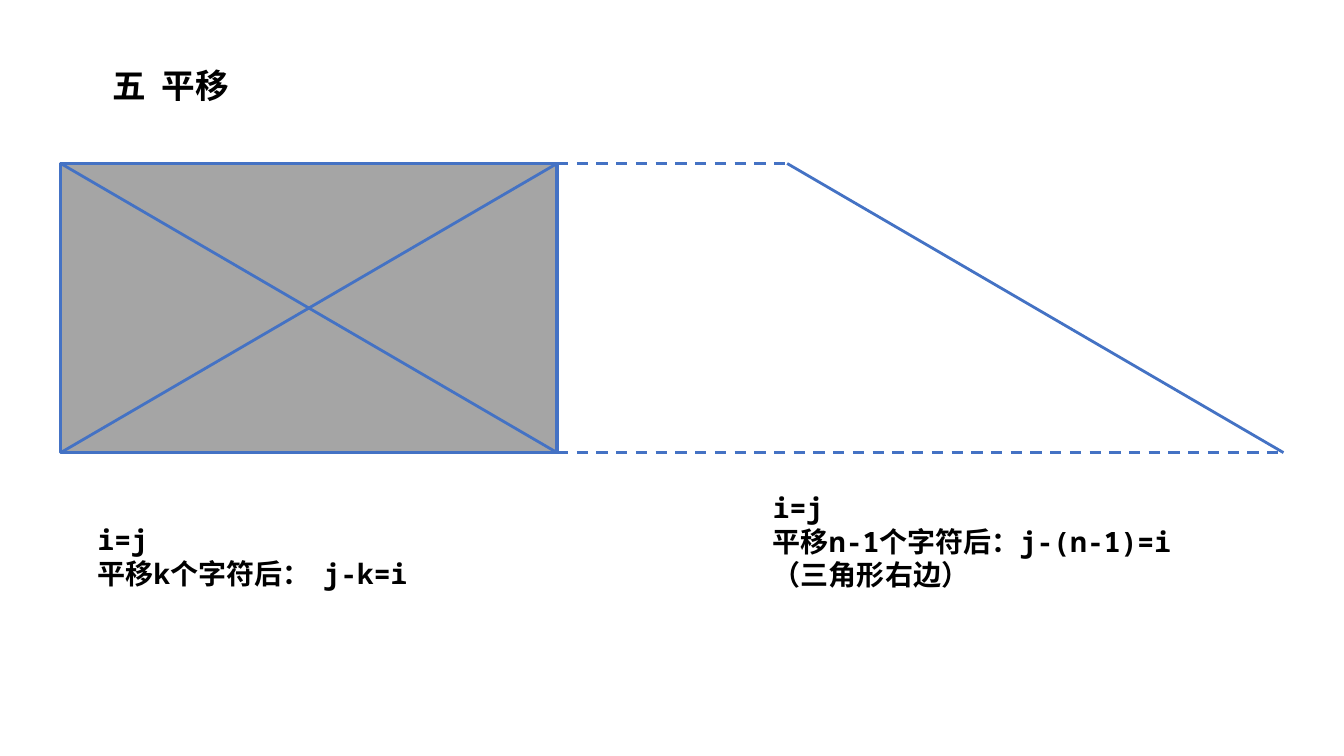
from dataclasses import dataclass

from lxml import etree
from pptx import Presentation
from pptx.dml.color import RGBColor
from pptx.enum.dml import MSO_LINE
from pptx.enum.shapes import MSO_CONNECTOR, MSO_SHAPE
from pptx.oxml.ns import qn
from pptx.util import Pt

RECTANGLE = MSO_SHAPE.RECTANGLE
STRAIGHT = MSO_CONNECTOR.STRAIGHT
DASH = MSO_LINE.DASH


@dataclass(frozen=True)
class Theme:
    ink: RGBColor = RGBColor(0x00, 0x00, 0x00)
    blue: RGBColor = RGBColor(0x44, 0x72, 0xC4)
    grey: RGBColor = RGBColor(0xA5, 0xA5, 0xA5)
    heading_font: str = "Noto Sans CJK SC"
    formula_font: str = "Noto Sans Mono"
    heading_size: float = 24
    formula_size: float = 20
    border: float = 2.25
    stroke: float = 2


THEME = Theme()


def set_font(span, font, size):
    """Use font for Latin letters and the heading font for Chinese ones."""
    span.font.name = font
    span.font.size = Pt(size)
    span.font.bold = True
    span.font.color.rgb = THEME.ink
    east_asian = etree.Element(qn("a:ea"), typeface=THEME.heading_font)
    span.font._element.find(qn("a:latin")).addnext(east_asian)


def add_text(page, text, *, left, top, width, height, font, size, leading):
    box = page.shapes.add_textbox(Pt(left), Pt(top), Pt(width), Pt(height))
    frame = box.text_frame
    frame.word_wrap = True
    for index, line in enumerate(text.split("\n")):
        para = frame.add_paragraph() if index else frame.paragraphs[0]
        para.line_spacing = Pt(leading)
        span = para.add_run()
        span.text = line
        set_font(span, font, size)


def add_formulas(page, text, **place):
    add_text(page, text, font=THEME.formula_font, size=THEME.formula_size,
             leading=24, **place)


def add_rectangle(page, left, top, right, bottom):
    shape = page.shapes.add_shape(
        RECTANGLE, Pt(left), Pt(top), Pt(right - left), Pt(bottom - top))
    shape.shadow.inherit = False
    shape.fill.solid()
    shape.fill.fore_color.rgb = THEME.grey
    shape.line.color.rgb = THEME.blue
    shape.line.width = Pt(THEME.border)


def add_line(page, start, end, dash=None):
    line = page.shapes.add_connector(
        STRAIGHT, *(Pt(value) for value in (*start, *end)))
    line.line.color.rgb = THEME.blue
    line.line.width = Pt(THEME.stroke)
    if dash is not None:
        line.line.dash_style = dash
    etree.SubElement(line._element.spPr, qn("a:effectLst"))


def add_diagram(page):
    """Draw the crossed rectangle and its diagonal shifted to the right."""
    left, top, right, bottom = 43.4, 116.8, 397.9, 323.3
    shift = 518.9
    add_rectangle(page, left, top, right, bottom)
    add_line(page, (left, top), (right, bottom))
    add_line(page, (left, bottom), (right, top))
    add_line(page, (left + shift, top), (right + shift, bottom))
    add_line(page, (right, top), (left + shift, top), DASH)
    add_line(page, (right, bottom), (right + shift, bottom), DASH)


def main():
    deck = Presentation()
    deck.slide_width, deck.slide_height = Pt(960), Pt(540)
    page = deck.slides.add_slide(deck.slide_layouts[6])

    add_text(page, "五  平移", left=73.4, top=41.5, width=161, height=36,
             font=THEME.heading_font, size=THEME.heading_size, leading=30)
    add_diagram(page)
    add_formulas(page, "i=j\n平移k个字符后：  j-k=i",
                 left=62.6, top=370, width=305, height=55.5)
    add_formulas(page, "i=j\n平移n-1个字符后：j-(n-1)=i\n（三角形右边）",
                 left=545, top=347, width=332, height=80)

    deck.save("out.pptx")


if __name__ == "__main__":
    main()
